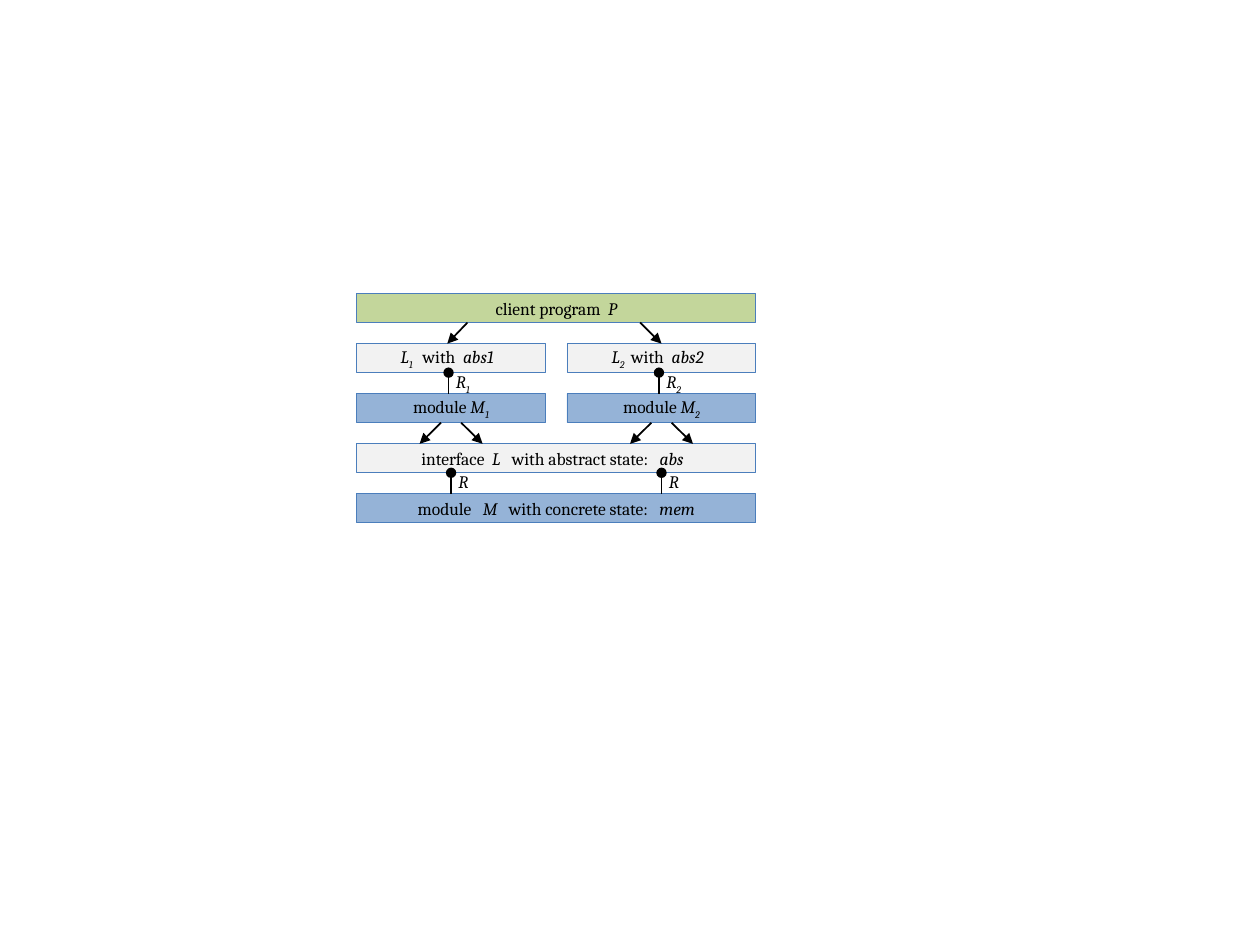
from pptx import Presentation, util as u
from pptx.dml.color import RGBColor
from pptx.enum import shapes as sh, text as tx
from pptx.oxml.ns import qn
from lxml import etree

COLORS = {"ink": "000000", "edge": "4B7EBC", "client": "C3D69B",
          "face": "F2F2F2", "module": "95B3D7"}
FONT, SIZE = "Cambria", 10

# Runs are (text, style): "" upright, "i" italic, "s" italic subscript
LAYERS = [  # row, fill, runs
    (0, "client", [("client program  ", ""), ("P", "i")]),
    (3, "face", [("interface  ", ""), ("L", "i"),
                 ("   with abstract state:   ", ""), ("abs  ", "i")]),
    (4, "module", [("module   ", ""), ("M  ", "i"),
                   (" with concrete state:   ", ""), ("mem", "i")]),
]
STACKS = [  # interface runs, module number, start and end of the client arrow
    ([("L", "i"), ("1 ", "s"), ("  with  ", ""), ("abs1  ", "i")],
     "1", 3.71, 3.55),
    ([("L", "i"), ("2   ", "s"), ("with  ", ""), ("abs2  ", "i")],
     "2", 5.08, 5.25),
]

LEFT, FULL, HALF, HIGH = 2.83, 3.17, 1.5, 0.23
FIRST, LAST = 2.33, 3.92
STEP = (LAST - FIRST) / 4
SHIFT = FULL - HALF

deck = Presentation()
deck.slide_width, deck.slide_height = u.Inches(10), u.Inches(7.5)
slide = deck.slides.add_slide(deck.slide_layouts[6])


def top(row):
    """Give the top of a row."""
    return FIRST + row * STEP


def base(row):
    """Give the bottom of a row."""
    return top(row) + HIGH


def color(name):
    """Look up a colour."""
    return RGBColor.from_string(COLORS[name])


def write(frame, runs, align=tx.PP_ALIGN.LEFT, anchor=tx.MSO_ANCHOR.TOP):
    """Fill a text frame with styled runs."""
    frame.word_wrap = True
    frame.vertical_anchor = anchor
    para = frame.paragraphs[0]
    para.alignment = align
    for words, style in runs:
        run = para.add_run()
        run.text = words
        font = run.font
        font.name, font.size = FONT, u.Pt(SIZE)
        font.italic = style != ""
        font.color.rgb = color("ink")
        if style == "s":
            run._r.get_or_add_rPr().set("baseline", "-25000")


def box(x, row, width, fill, runs):
    """Draw a labelled bar."""
    bar = slide.shapes.add_shape(
        sh.MSO_SHAPE.RECTANGLE, u.Inches(x), u.Inches(top(row)),
        u.Inches(width), u.Inches(HIGH))
    bar.shadow.inherit = False
    bar.fill.solid()
    bar.fill.fore_color.rgb = color(fill)
    bar.line.color.rgb = color("edge")
    bar.line.width = u.Pt(0.5)
    write(bar.text_frame, runs, tx.PP_ALIGN.CENTER, tx.MSO_ANCHOR.MIDDLE)


def link(x1, y1, x2, y2, tip):
    """Draw a line with a tip at its end."""
    line = slide.shapes.add_connector(
        sh.MSO_CONNECTOR.STRAIGHT, *map(u.Inches, (x1, y1, x2, y2)))
    line.line.color.rgb = color("ink")
    line.line.width = u.Pt(1)
    etree.SubElement(line.line._get_or_add_ln(), qn("a:tailEnd"), type=tip)
    etree.SubElement(line._element.spPr, qn("a:effectLst"))


def relate(x, row, width, runs):
    """Tie a row to the one above and name the relation."""
    link(x, top(row), x, base(row - 1), "oval")
    label = slide.shapes.add_textbox(
        u.Inches(x - 0.04), u.Inches(base(row - 1) - 0.06),
        u.Inches(width), u.Inches(0.27))
    write(label.text_frame, runs)


for row, fill, runs in LAYERS:
    box(LEFT, row, FULL, fill, runs)

for i, (face, num, start, end) in enumerate(STACKS):
    x = LEFT + i * SHIFT
    mid = x + HALF / 2
    box(x, 1, HALF, "face", face)
    box(x, 2, HALF, "module", [("module ", ""), ("M", "i"), (num, "s")])
    link(start, base(0), end, top(1), "triangle")
    for side in (-1, 1):
        link(mid + side * 0.08, base(2), mid + side * 0.25, top(3), "triangle")
    relate(mid - 0.02, 2, 0.39, [("R", "i"), (num, "s")])
    relate(mid, 4, 0.25, [("R", "i")])

deck.save("out.pptx")
